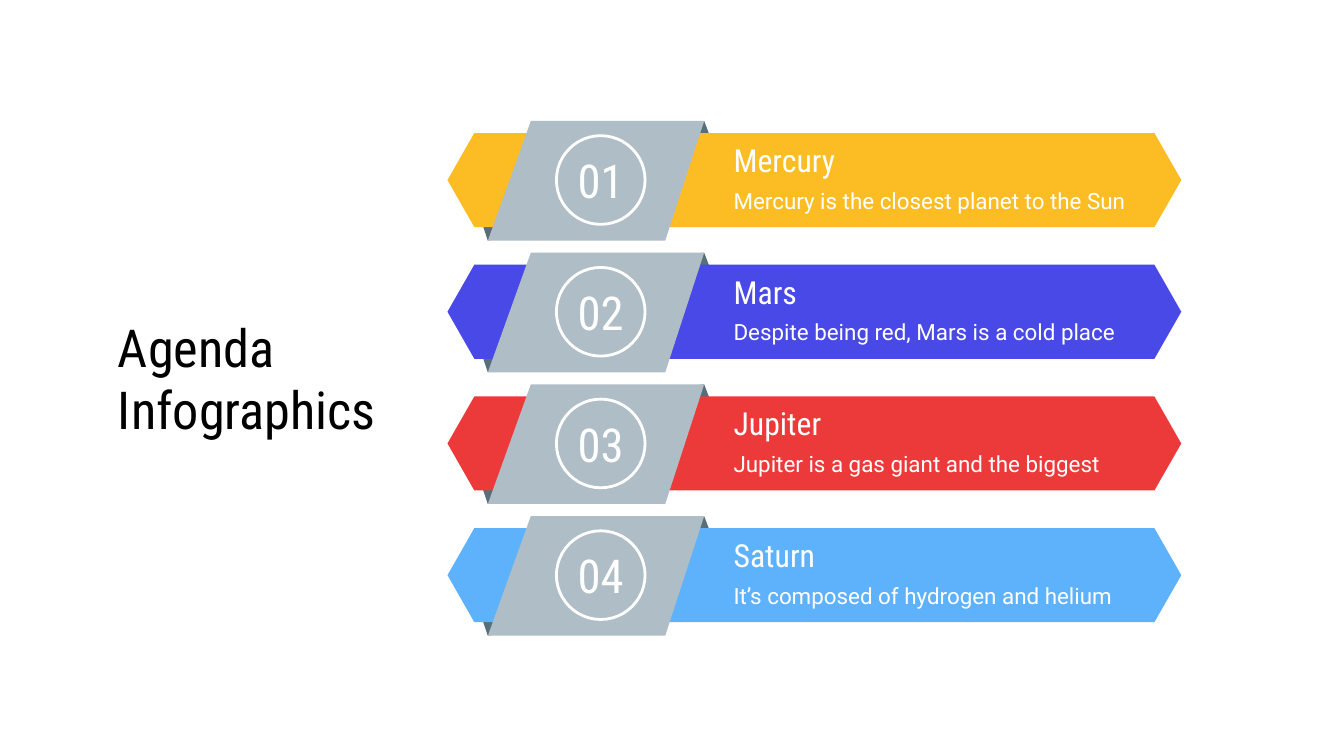
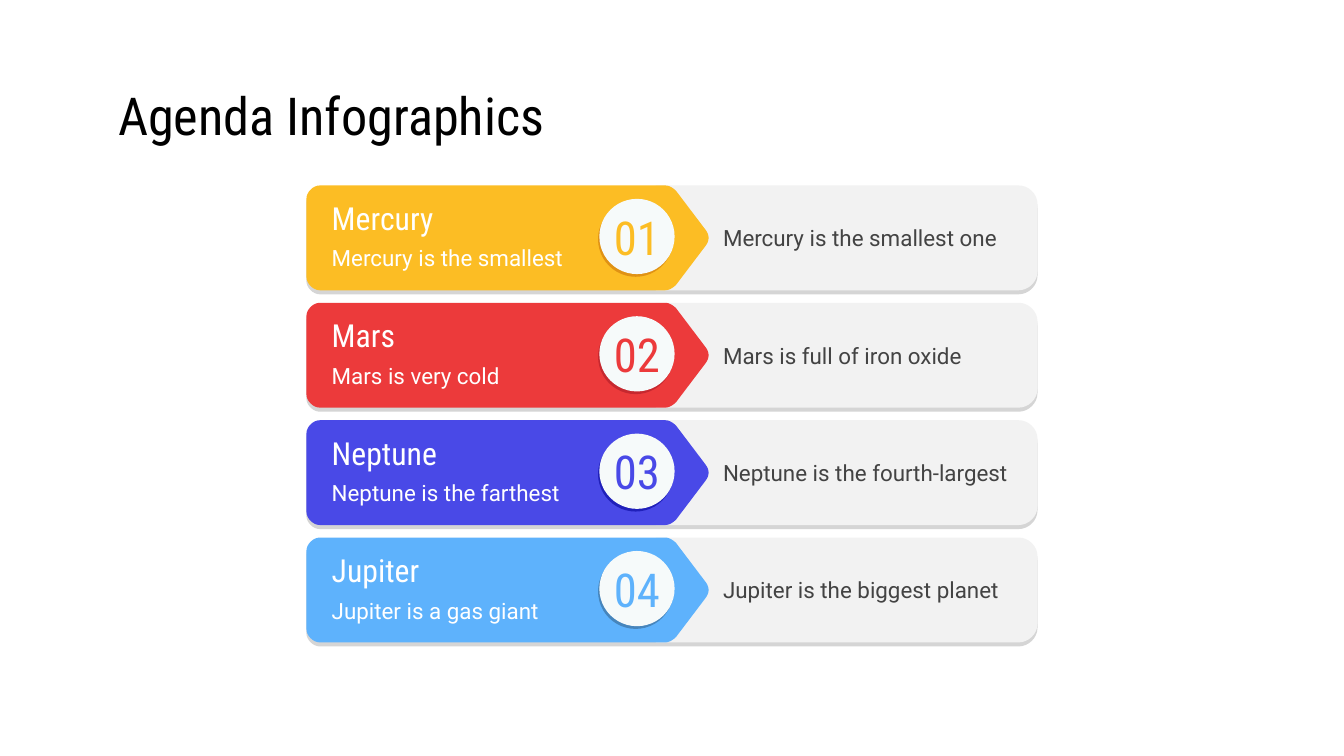
from pptx import Presentation
from pptx.dml.color import RGBColor
from pptx.enum.shapes import MSO_SHAPE
from pptx.enum.text import MSO_ANCHOR, PP_ALIGN
from pptx.util import Inches, Pt

COLORS = {
    "black": "000000", "white": "FFFFFF", "text": "434343",
    "yellow": "FCBD24", "blue": "4949E7", "red": "EC3A3B", "sky": "5EB2FC",
    "yellow_dark": "E09214", "blue_dark": "2020BA",
    "red_dark": "C6282F", "sky_dark": "4685BC",
    "steel": "AFBDC6", "fold": "576F7A",
    "panel": "F2F2F2", "panel_dark": "D5D5D5", "disc": "F6FAFA",
}
STYLES = {
    "title": {"name": "Roboto Condensed", "size": Pt(28)},
    "number": {"name": "Roboto Condensed", "size": Pt(25)},
    "heading": {"name": "Roboto Condensed", "size": Pt(17)},
    "detail": {"name": "Roboto", "size": Pt(12)},
}
CURVE_STEPS = 8

# Outlines: x on the slide, y below the top of the row.
# Six numbers make a Bezier curve: two control points and an end.
FOLD_RIGHT = [(5.24, 0), (4.81, 0.05), (4.81, 0.29), (5.35, 0.29)]
FOLD_LEFT = [(3.53, 0.59), (3.63, 0.89), (4.06, 0.82), (4.06, 0.59)]
BAND = [(3.53, 0.09), (3.33, 0.44), (3.53, 0.79),
        (8.59, 0.79), (8.79, 0.44), (8.59, 0.09)]
PLATE = [(3.95, 0), (3.63, 0.89), (4.95, 0.89), (5.24, 0)]

LEFT_END = [(2.38, 0), (2.33, 0, 2.28, 0.05, 2.28, 0.1), (2.28, 0.68),
            (2.28, 0.73, 2.33, 0.78, 2.38, 0.78)]
RIGHT_END = [(7.58, 0.78), (7.65, 0.78, 7.72, 0.72, 7.72, 0.64),
             (7.72, 0.14), (7.72, 0.06, 7.65, 0, 7.58, 0)]
ARROW_END = [(4.95, 0.78), (4.98, 0.78, 5.01, 0.76, 5.03, 0.74),
             (5.25, 0.45), (5.28, 0.41, 5.28, 0.37, 5.25, 0.33),
             (5.03, 0.04), (5.01, 0.02, 4.98, 0, 4.95, 0)]
CARD = LEFT_END + RIGHT_END
PANEL = [(4.88, 0), (4.88, 0.78)] + RIGHT_END
TAB = LEFT_END + ARROW_END

RIBBONS = [
    ("yellow", "Mercury", "Mercury is the closest planet to the Sun"),
    ("blue", "Mars", "Despite being red, Mars is a cold place"),
    ("red", "Jupiter", "Jupiter is a gas giant and the biggest"),
    ("sky", "Saturn", "It’s composed of hydrogen and helium"),
]
CARDS = [
    ("yellow", "Mercury", "Mercury is the smallest", "Mercury is the smallest one"),
    ("red", "Mars", "Mars is very cold", "Mars is full of iron oxide"),
    ("blue", "Neptune", "Neptune is the farthest", "Neptune is the fourth-largest"),
    ("sky", "Jupiter", "Jupiter is a gas giant", "Jupiter is the biggest planet"),
]


def rgb(color):
    return RGBColor.from_string(COLORS[color])


def write(sp, text, style, color, align=PP_ALIGN.LEFT, left=0.1, right=0.1):
    tf = sp.text_frame
    frame = {"word_wrap": True, "vertical_anchor": MSO_ANCHOR.MIDDLE,
             "margin_left": Inches(left), "margin_right": Inches(right),
             "margin_top": Inches(0.1), "margin_bottom": Inches(0.1)}
    for key, value in frame.items():
        setattr(tf, key, value)
    p = tf.paragraphs[0]
    p.alignment = align
    r = p.add_run()
    r.text = text
    for key, value in STYLES[style].items():
        setattr(r.font, key, value)
    r.font.color.rgb = rgb(color)


def add_text(shapes, box, text, style, color):
    sp = shapes.add_textbox(*map(Inches, box))
    write(sp, text, style, color)


def paint(sp, fill=None, line=None):
    sp.shadow.inherit = False
    if fill:
        sp.fill.solid()
        sp.fill.fore_color.rgb = rgb(fill)
    else:
        sp.fill.background()
    if line:
        sp.line.color.rgb = rgb(line)
        sp.line.width = Pt(1.5)
    else:
        sp.line.fill.background()


def flatten(outline):
    """Turn an outline with Bezier curves into plain points."""
    points = []
    for item in outline:
        if len(item) == 2:
            points.append(item)
            continue
        knots = [points[-1], item[:2], item[2:4], item[4:]]
        for step in range(1, CURVE_STEPS + 1):
            t = step / CURVE_STEPS
            weights = ((1 - t) ** 3, 3 * t * (1 - t) ** 2,
                       3 * t ** 2 * (1 - t), t ** 3)
            points.append(tuple(sum(w * k[axis] for w, k in zip(weights, knots))
                                for axis in (0, 1)))
    return points


def add_outline(shapes, outline, top, fill):
    points = [(Inches(x), Inches(top + y)) for x, y in flatten(outline)]
    builder = shapes.build_freeform(*points[0], scale=1.0)
    builder.add_line_segments(points[1:], close=True)
    sp = builder.convert_to_shape()
    paint(sp, fill)
    return sp


def add_circle(shapes, left, top, size, fill=None, line=None):
    sp = shapes.add_shape(MSO_SHAPE.OVAL, *map(Inches, (left, top, size, size)))
    paint(sp, fill, line)
    return sp


def write_number(sp, number, color):
    write(sp, f"{number:02d}", "number", color, PP_ALIGN.CENTER, 0, 0)


def add_ribbon(s, number, top, color, heading, detail):
    shapes = s.shapes.add_group_shape().shapes
    for outline, fill in ((FOLD_RIGHT, "fold"), (FOLD_LEFT, "fold"),
                          (BAND, color), (PLATE, "steel")):
        add_outline(shapes, outline, top, fill)
    add_text(shapes, (5.36, top + 0.39, 3.18, 0.4), detail, "detail", "white")
    add_text(shapes, (5.36, top + 0.09, 3.18, 0.4), heading, "heading", "white")
    ring = add_circle(shapes, 4.14, top + 0.11, 0.66, line="white")
    write_number(ring, number, "white")


def add_card(s, number, top, color, heading, detail, fact):
    shapes = s.shapes.add_group_shape().shapes
    add_outline(shapes, CARD, top + 0.03, "panel_dark")
    panel = add_outline(shapes, PANEL, top, "panel")
    write(panel, fact, "detail", "text", left=0.5)
    add_outline(shapes, TAB, top, color)
    add_circle(shapes, 4.45, top + 0.12, 0.56, f"{color}_dark")
    disc = add_circle(shapes, 4.46, top + 0.1, 0.56, "disc")
    write_number(disc, number, color)
    add_text(shapes, (2.37, top + 0.34, 1.96, 0.4), detail, "detail", "white")
    add_text(shapes, (2.37, top + 0.04, 1.96, 0.4), heading, "heading", "white")


def add_agenda(prs, title_box, add_row, rows, first_top, last_top):
    s = prs.slides.add_slide(prs.slide_layouts[6])
    add_text(s.shapes, title_box, "Agenda Infographics", "title", "black")
    pitch = (last_top - first_top) / (len(rows) - 1)
    for i, row in enumerate(rows):
        add_row(s, i + 1, first_top + i * pitch, *row)


def main():
    prs = Presentation()
    prs.slide_width = Inches(10)
    prs.slide_height = Inches(10 * 9 / 16)
    add_agenda(prs, (0.78, 2.35, 2.17, 0.92), add_ribbon, RIBBONS, 0.9, 3.84)
    add_agenda(prs, (0.78, 0.59, 8.45, 0.53), add_card, CARDS, 1.38, 4)
    prs.save("out.pptx")


if __name__ == "__main__":
    main()
